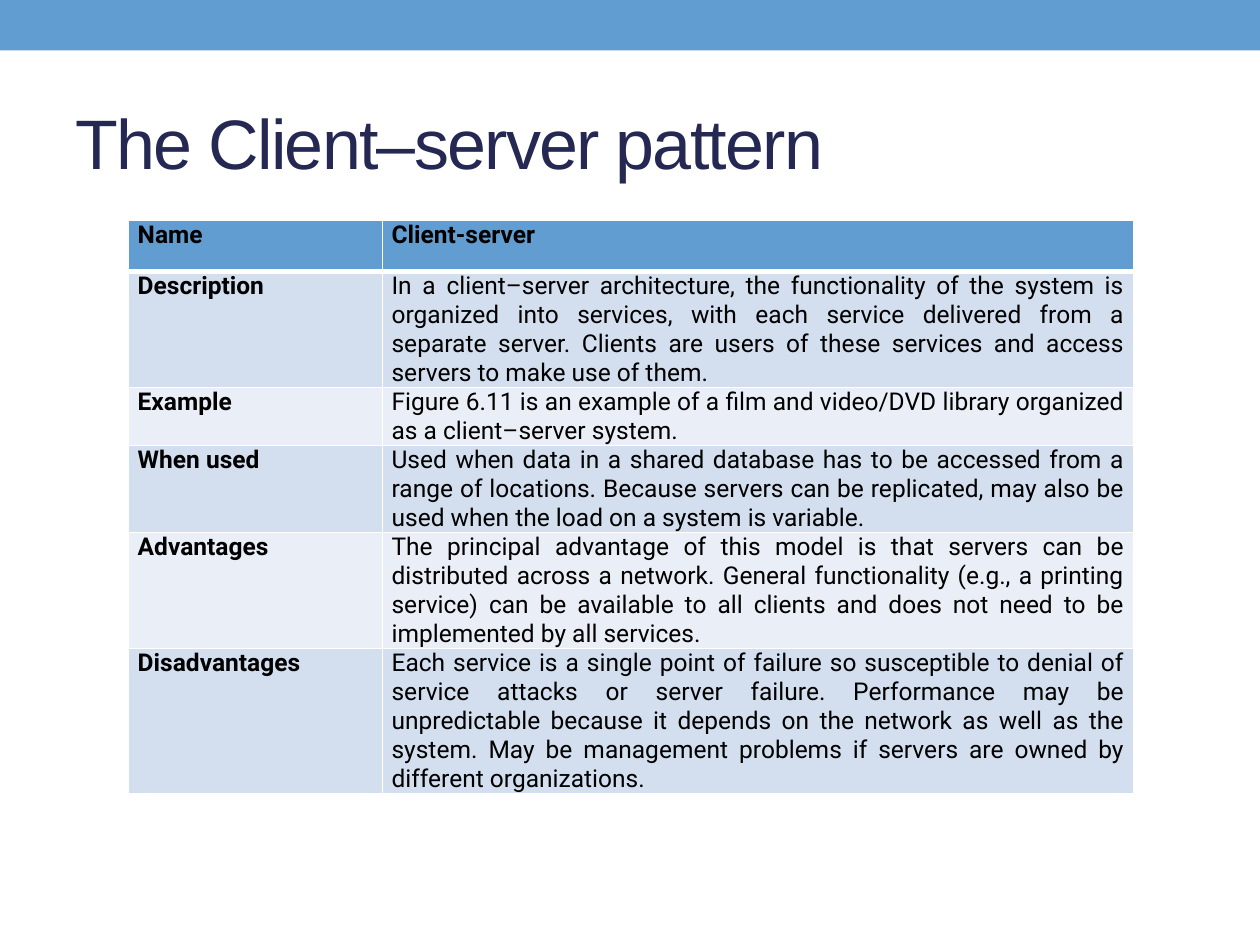
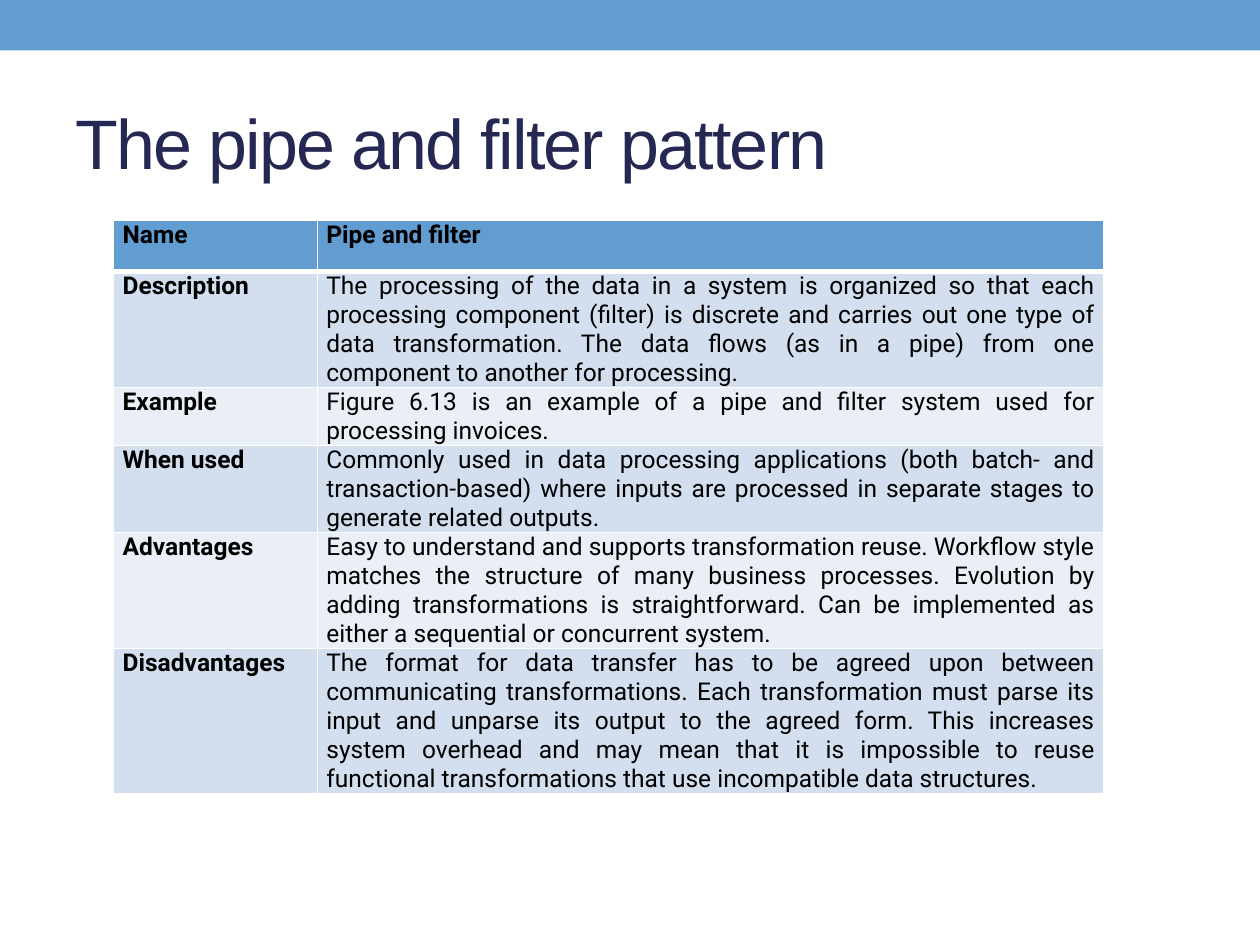
from dataclasses import dataclass

from lxml.etree import SubElement
from pptx import Presentation
from pptx.dml.color import RGBColor
from pptx.enum.shapes import MSO_SHAPE
from pptx.enum.text import MSO_ANCHOR, PP_ALIGN
from pptx.oxml.ns import qn
from pptx.util import Pt

# Content: one pattern per slide, with the table's left edge and column widths
ROW_NAMES = ["Name", "Description", "Example", "When used", "Advantages", "Disadvantages"]
PATTERNS = [
    {
        "title": "The Client–server pattern",
        "left": 73.5,
        "columns": (145.1, 429.2),
        "values": [
            "Client-server",
            "In a client–server architecture, the functionality of the system is organized into "
            "services, with each service delivered from a separate server. Clients are users of "
            "these services and access servers to make use of them.",
            "Figure 6.11 is an example of a film and video/DVD library organized as a "
            "client–server system.",
            "Used when data in a shared database has to be accessed from a range of locations. "
            "Because servers can be replicated, may also be used when the load on a system is "
            "variable.",
            "The principal advantage of this model is that servers can be distributed across a "
            "network. General functionality (e.g., a printing service) can be available to all "
            "clients and does not need to be implemented by all services.",
            "Each service is a single point of failure so susceptible to denial of service "
            "attacks or server failure. Performance may be unpredictable because it depends on "
            "the network as well as the system. May be management problems if servers are owned "
            "by different organizations.",
        ],
    },
    {
        "title": "The pipe and filter pattern",
        "left": 64.9,
        "columns": (116.4, 449.7),
        "values": [
            "Pipe and filter",
            "The processing of the data in a system is organized so that each processing "
            "component (filter) is discrete and carries out one type of data transformation. "
            "The data flows (as in a pipe) from one component to another for processing.",
            "Figure 6.13 is an example of a pipe and filter system used for processing invoices.",
            "Commonly used in data processing applications (both batch- and transaction-based) "
            "where inputs are processed in separate stages to generate related outputs.",
            "Easy to understand and supports transformation reuse. Workflow style matches the "
            "structure of many business processes. Evolution by adding transformations is "
            "straightforward. Can be implemented as either a sequential or concurrent system.",
            "The format for data transfer has to be agreed upon between communicating "
            "transformations. Each transformation must parse its input and unparse its output "
            "to the agreed form. This increases system overhead and may mean that it is "
            "impossible to reuse functional transformations that use incompatible data "
            "structures.",
        ],
    },
]


@dataclass(frozen=True)
class Theme:
    accent: str = "629DD1"
    title: str = "242852"
    text: str = "000000"
    odd_row: str = "D3DFEE"
    even_row: str = "EAEFF7"
    border: str = "FFFFFF"
    title_font: str = "Arial"
    table_font: str = "Roboto"
    title_size: int = 40
    table_size: int = 14


THEME = Theme()
SLIDE_WIDTH, SLIDE_HEIGHT = 720, 540
BAND_HEIGHT = 28.8
TITLE_BOX = (36, 42, 648, 78)
TABLE_TOP, TABLE_HEIGHT, ROW_HEIGHT = 126, 332, 29.2
CELL_MARGIN = 5.2


def style_font(font, name, size, color, bold=False):
    font.name, font.size, font.bold = name, Pt(size), bold
    font.color.rgb = RGBColor.from_string(color)


def add_band(slide):
    band = slide.shapes.add_shape(MSO_SHAPE.RECTANGLE, 0, 0, Pt(SLIDE_WIDTH), Pt(BAND_HEIGHT))
    band.shadow.inherit = False
    band.fill.solid()
    band.fill.fore_color.rgb = RGBColor.from_string(THEME.accent)
    band.line.fill.background()


def add_title(slide, text):
    title = slide.shapes.title
    title.left, title.top, title.width, title.height = map(Pt, TITLE_BOX)
    title.text_frame.text = text
    title.text_frame.vertical_anchor = MSO_ANCHOR.MIDDLE
    paragraph = title.text_frame.paragraphs[0]
    paragraph.alignment = PP_ALIGN.LEFT
    style_font(paragraph.font, THEME.title_font, THEME.title_size, THEME.title)
    paragraph.font._element.set("spc", "-100")


def set_borders(cell, top, bottom):
    properties = cell._tc.get_or_add_tcPr()
    for side, width in (("L", 1), ("R", 1), ("T", top), ("B", bottom)):
        line = SubElement(properties, qn(f"a:ln{side}"), w=str(Pt(width)))
        fill = SubElement(line, qn("a:solidFill"))
        SubElement(fill, qn("a:srgbClr"), val=THEME.border)


def fill_cell(cell, text, row, bold):
    # A thicker rule separates the header from the rows below
    set_borders(cell, top=3 if row == 1 else 1, bottom=3 if row == 0 else 1)
    cell.fill.solid()
    color = THEME.accent if row == 0 else THEME.odd_row if row % 2 else THEME.even_row
    cell.fill.fore_color.rgb = RGBColor.from_string(color)
    cell.margin_left = cell.margin_right = Pt(CELL_MARGIN)
    cell.margin_top = cell.margin_bottom = 0
    cell.text = text
    paragraph = cell.text_frame.paragraphs[0]
    paragraph.alignment = PP_ALIGN.JUSTIFY
    style_font(paragraph.font, THEME.table_font, THEME.table_size, THEME.text, bold)


def add_pattern_table(slide, pattern):
    columns = pattern["columns"]
    frame = slide.shapes.add_table(
        len(ROW_NAMES), len(columns), Pt(pattern["left"]), Pt(TABLE_TOP),
        Pt(sum(columns)), Pt(TABLE_HEIGHT))
    table = frame.table
    for column, width in zip(table.columns, columns):
        column.width = Pt(width)
    for row, texts in enumerate(zip(ROW_NAMES, pattern["values"])):
        table.rows[row].height = Pt(ROW_HEIGHT)  # rows grow to fit their text
        for column, text in enumerate(texts):
            fill_cell(table.cell(row, column), text, row, bold=row == 0 or column == 0)
    frame.height = Pt(TABLE_HEIGHT)


def main():
    presentation = Presentation()
    presentation.slide_width, presentation.slide_height = Pt(SLIDE_WIDTH), Pt(SLIDE_HEIGHT)
    title_only = presentation.slide_layouts.get_by_name("Title Only")
    for pattern in PATTERNS:
        slide = presentation.slides.add_slide(title_only)
        add_band(slide)
        add_title(slide, pattern["title"])
        add_pattern_table(slide, pattern)
    presentation.save("out.pptx")


if __name__ == "__main__":
    main()
